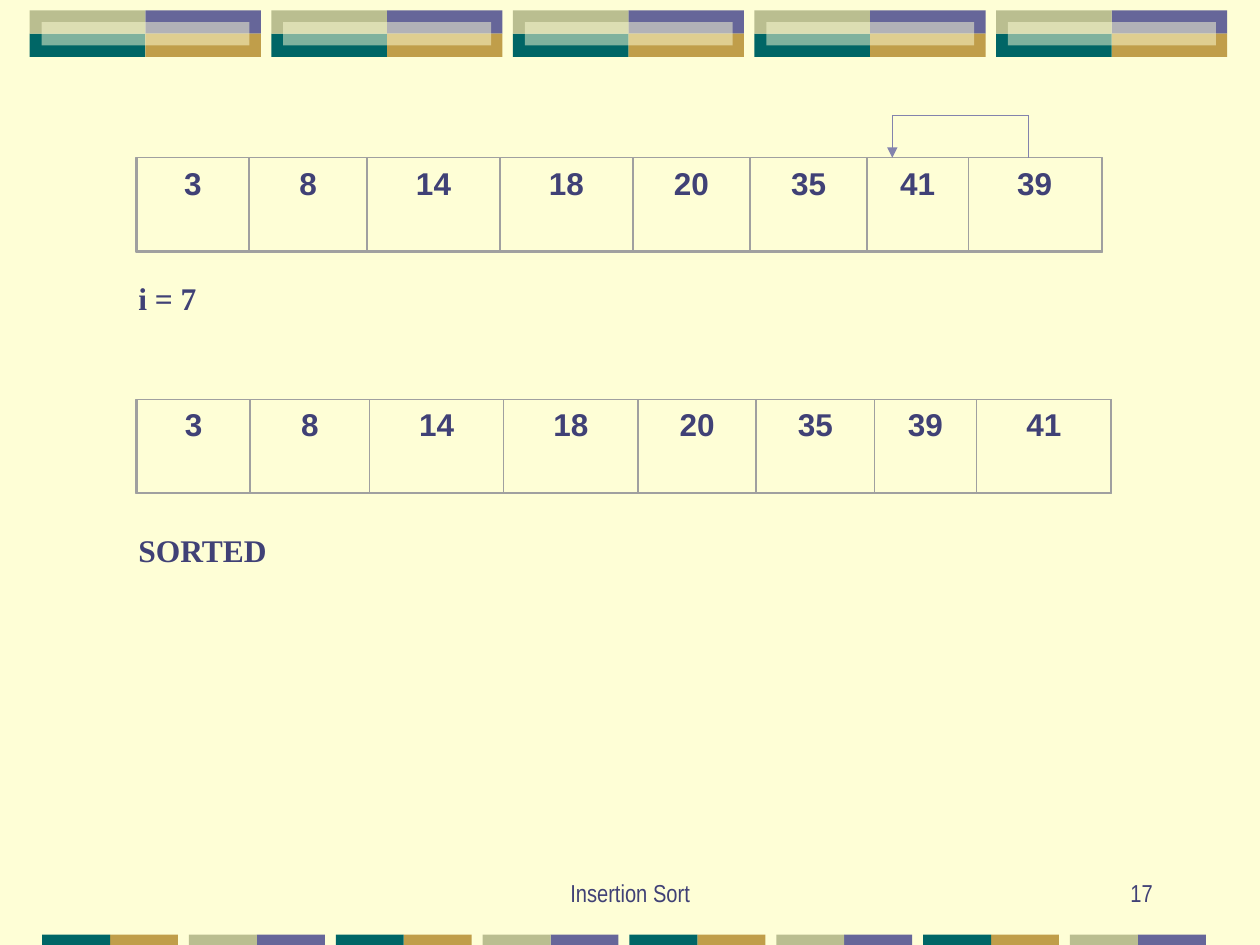
from itertools import accumulate
from pptx import Presentation
from pptx.dml.color import RGBColor as RGB
from pptx.enum.shapes import MSO_CONNECTOR as Link, MSO_SHAPE as Form
from pptx.enum.text import MSO_ANCHOR as Anchor, PP_ALIGN as Align
from pptx.oxml.ns import qn
from pptx.util import Cm, Pt
from lxml.etree import SubElement as sub

CREAM = RGB(0xFE, 0xFE, 0xD6)
PURPLE = RGB(0x66, 0x66, 0x99)
GOLD = RGB(0xC0, 0x9E, 0x4A)
TEAL = RGB(0x00, 0x66, 0x66)
OLIVE = RGB(0xBA, 0xBE, 0x90)
INK = RGB(0x40, 0x41, 0x76)
GREY = RGB(0xA0, 0xA0, 0xA0)
MAUVE = RGB(0x83, 0x83, 0xAD)

VALUE = {"name": "Arial", "size": Pt(18), "bold": True}
LABEL = {"name": "Times New Roman", "size": Pt(18), "bold": True}
FOOT = {"name": "Arial Narrow", "size": Pt(14), "bold": False}
WIDTHS = [2.26, 2.38, 2.68, 2.68, 2.36, 2.36, 2.04, 2.68]


class Deck:
    def __init__(self):
        self.prs = Presentation()
        self.prs.slide_width, self.prs.slide_height = Cm(25.4), Cm(19.05)
        self.slide = self.prs.slides.add_slide(self.prs.slide_layouts[6])
        self.shapes = self.slide.shapes
        back = self.slide.background.fill
        back.solid()
        back.fore_color.rgb = CREAM

    def rect(self, x, y, w, h):
        box = self.shapes.add_shape(Form.RECTANGLE, Cm(x), Cm(y), Cm(w), Cm(h))
        box.shadow.inherit = False
        return box

    def block(self, x, y, w, h, color, alpha=None):
        box = self.rect(x, y, w, h)
        box.line.fill.background()
        box.fill.solid()
        box.fill.fore_color.rgb = color
        if alpha:
            tone = box._element.spPr.find(".//" + qn("a:srgbClr"))
            sub(tone, qn("a:alpha"), val=str(alpha * 1000))

    def frame(self, x, y, w, h, width):
        box = self.rect(x, y, w, h)
        box.fill.background()
        box.line.color.rgb = GREY
        box.line.width = Pt(width)
        return box

    def label(self, box, text, style, align, anchor=Anchor.TOP):
        body = box.text_frame
        body.word_wrap = True
        body.vertical_anchor = anchor
        para = body.paragraphs[0]
        para.text = text
        para.alignment = align
        for key, val in style.items():
            setattr(para.font, key, val)
        para.font.color.rgb = INK

    def text(self, x, y, w, h, *args):
        box = self.shapes.add_textbox(Cm(x), Cm(y), Cm(w), Cm(h))
        self.label(box, *args)

    def row(self, y, values, scale=1):
        left, high = 2.76, 1.88
        widths = [w * scale for w in WIDTHS]
        edges = accumulate(widths, initial=left)
        for value, x, w in zip(values, edges, widths):
            cell = self.frame(x, y, w, high, 0)
            self.label(cell, str(value), VALUE, Align.CENTER)
        self.frame(left - 0.02, y, sum(widths) + 0.04, high + 0.02, 0.75)

    def line(self, x1, y1, x2, y2, arrow=False):
        ends = [Cm(v) for v in (x1, y1, x2, y2)]
        link = self.shapes.add_connector(Link.STRAIGHT, *ends)
        link.line.color.rgb = MAUVE
        link.line.width = Pt(0.75)
        props = link._element.spPr
        if arrow:
            sub(props.find(qn("a:ln")), qn("a:tailEnd"), type="triangle")
        sub(props, qn("a:effectLst"))

    def banner(self):
        w, h, top = 2.33, 0.47, 0.21
        for i in range(5):
            x = 0.6 + 4.87 * i
            self.block(x + w, top, w, h, PURPLE)
            self.block(x + w, top + h, w, h, GOLD)
            self.block(x, top + h, w, h, TEAL)
            self.block(x, top, w, h, OLIVE)
            self.block(x + 0.24, top + h / 2, 4.19, h, CREAM, 50)

    def strip(self):
        w = 1.37
        for i in range(8):
            x = 0.85 + 2.96 * i
            left, right = [(TEAL, GOLD), (OLIVE, PURPLE)][i % 2]
            self.block(x + w, 18.84, w, 0.21, right)
            self.block(x, 18.84, w, 0.21, left)


def main():
    deck = Deck()
    deck.banner()
    deck.strip()
    deck.text(8.68, 17.15, 8.05, 1.27, "Insertion Sort", FOOT, Align.CENTER, Anchor.BOTTOM)
    deck.text(18.2, 17.15, 5.29, 1.27, "17", FOOT, Align.RIGHT, Anchor.BOTTOM)
    deck.row(3.18, [3, 8, 14, 18, 20, 35, 41, 39])
    deck.row(8.05, [3, 8, 14, 18, 20, 35, 39, 41], 1.01)
    start, end, top, base = 20.74, 17.99, 2.33, 3.18
    deck.line(start, top, end, top)
    deck.line(end, top, end, base, arrow=True)
    deck.line(start, top, start, base)
    deck.text(2.54, 5.5, 1.9, 1.02, "i = 7", LABEL, Align.LEFT)
    deck.text(2.54, 10.58, 3.6, 1.02, "SORTED", LABEL, Align.LEFT)
    deck.prs.save("out.pptx")


if __name__ == "__main__":
    main()
